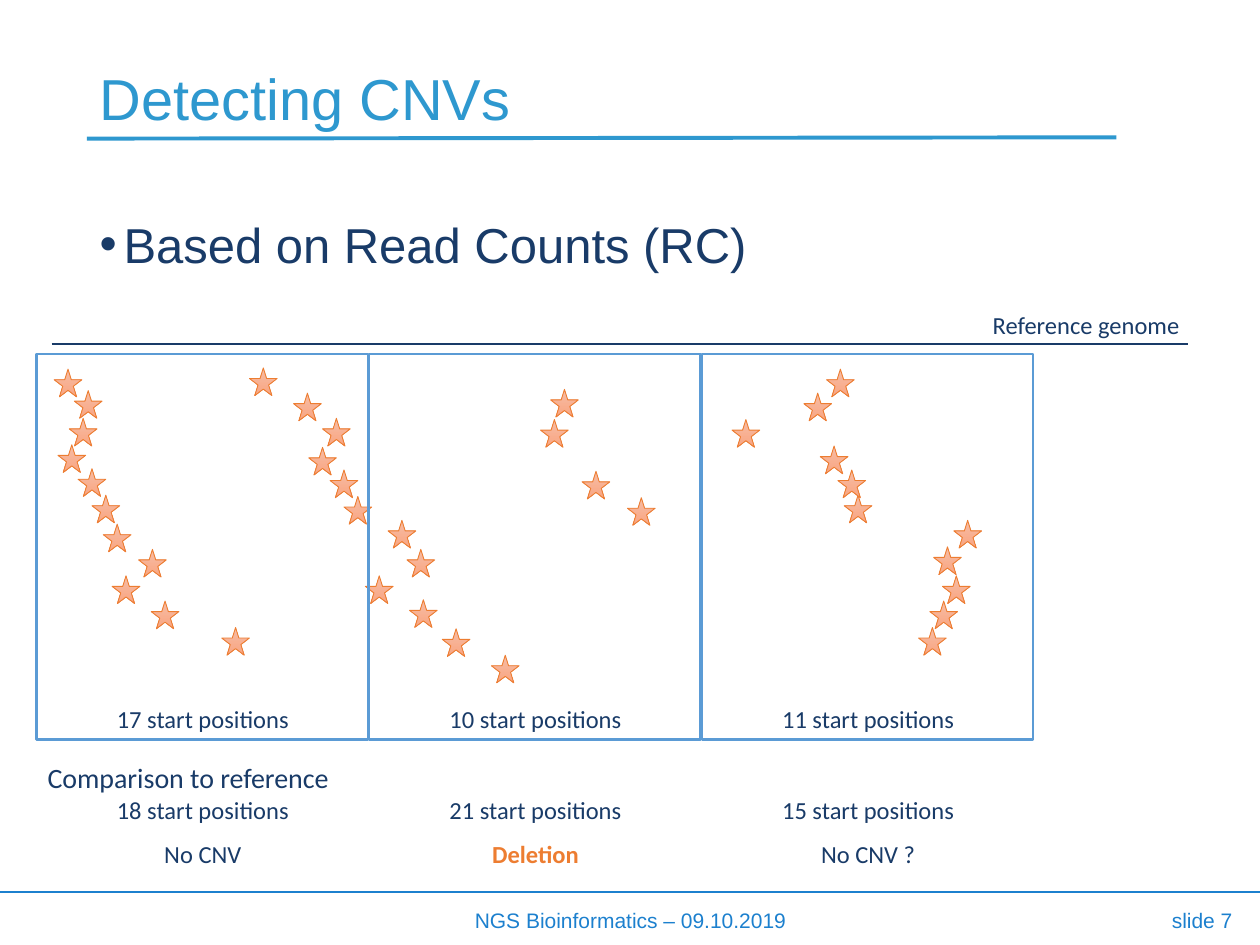
from lxml.etree import SubElement
from pptx import Presentation
from pptx.dml.color import RGBColor
from pptx.enum.shapes import MSO_CONNECTOR as Connector, MSO_SHAPE as Shape
from pptx.enum.text import MSO_ANCHOR as Anchor, MSO_AUTO_SIZE as AutoSize, PP_ALIGN as Align
from pptx.oxml.ns import qn
from pptx.util import Inches, Pt

COLORS = {
    "title": "2E98CF",
    "footer": "1C80CE",
    "text": "193B68",
    "panel": "5B9BD5",
    "accent": "ED7D31",
    "star_top": "F7BDA5",
    "star_bottom": "F8A582",
}
PANEL_LEFT, PANEL_TOP, PANEL_PITCH = 0.29, 2.81, 2.64
PANEL_WIDTH, PANEL_HEIGHT = 2.63, 3.06
LABEL_OFFSET, LABEL_WIDTH = 0.53, 1.58
STAR_SIZE = 0.22

START_COUNTS = ["17 start positions", "10 start positions", "11 start positions"]
REFERENCE_COUNTS = ["18 start positions", "21 start positions", "15 start positions"]
VERDICTS = ["No CNV", "Deletion", "No CNV ?"]
STARS = [
    (0.43, 2.93), (0.59, 3.1), (0.55, 3.32), (0.46, 3.53), (0.62, 3.72), (0.73, 3.93),
    (1.98, 2.92), (2.33, 3.12), (1.76, 4.98), (3.51, 4.99), (1.2, 4.77), (2.9, 4.57),
    (0.82, 4.16), (0.89, 4.57), (1.1, 4.36), (2.56, 3.32), (2.45, 3.55), (2.62, 3.73),
    (2.73, 3.94), (3.08, 4.13), (3.23, 4.36), (3.25, 4.76), (4.37, 3.09), (4.29, 3.33),
    (4.62, 3.74), (4.98, 3.95), (7.29, 4.98), (5.81, 3.33), (7.38, 4.77), (7.48, 4.57),
    (7.41, 4.34), (7.57, 4.13), (6.7, 3.93), (6.65, 3.73), (6.51, 3.54), (6.38, 3.12),
    (6.56, 2.93), (3.9, 5.2),
]


def rgb(name):
    """Return the named colour."""
    return RGBColor.from_string(COLORS[name])


def add_run(paragraph, text, size, color, font="Calibri", bold=False):
    """Append one formatted run to a paragraph."""
    run = paragraph.add_run()
    run.text = text
    run.font.size = Pt(size)
    run.font.name = font
    run.font.bold = bold
    run.font.color.rgb = rgb(color)


def add_text(slide, box, text, size=14, color="text", align=Align.CENTER, **style):
    """Add a one-line text box."""
    shape = slide.shapes.add_textbox(*map(Inches, box))
    frame = shape.text_frame
    frame.word_wrap = True
    frame.auto_size = AutoSize.SHAPE_TO_FIT_TEXT
    paragraph = frame.paragraphs[0]
    paragraph.alignment = align
    add_run(paragraph, text, size, color, **style)


def add_line(slide, start, end, color, width):
    """Add a straight line without shadow."""
    line = slide.shapes.add_connector(Connector.STRAIGHT, *map(Inches, start + end))
    line.line.color.rgb = rgb(color)
    line.line.width = Pt(width)
    SubElement(line._element.spPr, qn("a:effectLst"))


def add_outlined(slide, kind, box, color, width):
    """Add a preset shape with a coloured outline and no fill."""
    shape = slide.shapes.add_shape(kind, *map(Inches, box))
    shape.shadow.inherit = False
    shape.fill.background()
    shape.line.color.rgb = rgb(color)
    shape.line.width = Pt(width)
    return shape


def add_star(slide, left, top):
    """Add a star that marks one read start."""
    star = add_outlined(slide, Shape.STAR_5_POINT, (left, top, STAR_SIZE, STAR_SIZE), "accent", 0.5)
    star.fill.gradient()
    star.fill.gradient_angle = 270
    for stop, color in zip(star.fill.gradient_stops, ("star_top", "star_bottom")):
        stop.color.rgb = rgb(color)


def add_label(slide, column, top, text, **style):
    """Add a centred label under or in a panel column."""
    left = PANEL_LEFT + LABEL_OFFSET + column * PANEL_PITCH
    add_text(slide, (left, top, LABEL_WIDTH, 0.34), text, **style)


def add_panel(slide, column):
    """Add one genome window with its read count."""
    box = (PANEL_LEFT + column * PANEL_PITCH, PANEL_TOP, PANEL_WIDTH, PANEL_HEIGHT)
    add_outlined(slide, Shape.RECTANGLE, box, "panel", 1.25)
    add_label(slide, column, 5.54, START_COUNTS[column])


def prepare_placeholder(shape, box, anchor):
    """Move a placeholder and return its first paragraph."""
    shape.left, shape.top, shape.width, shape.height = map(Inches, box)
    frame = shape.text_frame
    frame.auto_size = AutoSize.NONE
    frame.vertical_anchor = anchor
    paragraph = frame.paragraphs[0]
    paragraph.alignment = Align.LEFT
    return paragraph


def fill_title(slide):
    """Write the slide title."""
    paragraph = prepare_placeholder(slide.shapes.title, (0.69, 0.08, 8.62, 1.45), Anchor.MIDDLE)
    paragraph.line_spacing = 0.9
    add_run(paragraph, "Detecting CNVs", 33, "title", font="Arial")


def fill_body(slide):
    """Write the bulleted statement."""
    paragraph = prepare_placeholder(slide.placeholders[1], (0.69, 1.42, 8.62, 5.4), Anchor.TOP)
    paragraph.line_spacing = 1.5
    paragraph.space_before = Pt(0)
    properties = paragraph._p.get_or_add_pPr()
    properties.set("marL", str(Inches(0.19)))
    properties.set("indent", str(Inches(-0.19)))
    SubElement(properties, qn("a:buFont"), typeface="Arial")
    SubElement(properties, qn("a:buChar"), char="•")
    add_run(paragraph, "Based on Read Counts (RC)", 28, "text", font="Arial")


def add_footer(slide):
    """Add the footer rule, the course name and the slide number."""
    add_text(slide, (3.22, 7.15, 3.57, 0.3), "NGS Bioinformatics – 09.10.2019", 12, "footer",
             font="Arial")
    add_text(slide, (8.3, 7.15, 1.58, 0.3), "slide 7", 12, "footer", Align.RIGHT, font="Arial")
    add_line(slide, (0, 7.08), (10, 7.08), "footer", 1)


def add_comparison(slide):
    """Add the reference counts and the verdict for each panel."""
    add_text(slide, (0.28, 5.99, 8.04, 0.37), "Comparison to reference", 16, align=Align.LEFT)
    for column, (count, verdict) in enumerate(zip(REFERENCE_COUNTS, VERDICTS)):
        found = verdict == "Deletion"
        add_label(slide, column, 6.26, count)
        add_label(slide, column, 6.61, verdict, color="accent" if found else "text", bold=found)


def main():
    """Build and save the slide."""
    presentation = Presentation()
    presentation.slide_width, presentation.slide_height = Inches(10), Inches(7.5)
    slide = presentation.slides.add_slide(presentation.slide_layouts[1])
    fill_title(slide)
    fill_body(slide)
    add_footer(slide)
    add_line(slide, (0.69, 1.1), (8.86, 1.09), "title", 2.25)
    add_line(slide, (0.41, 2.73), (9.43, 2.73), "text", 1.5)
    add_text(slide, (7.62, 2.41, 1.84, 0.34), "Reference genome", align=Align.RIGHT)
    for left, top in STARS:
        add_star(slide, left, top)
    for column in range(len(START_COUNTS)):
        add_panel(slide, column)
    add_comparison(slide)
    presentation.save("out.pptx")


if __name__ == "__main__":
    main()
